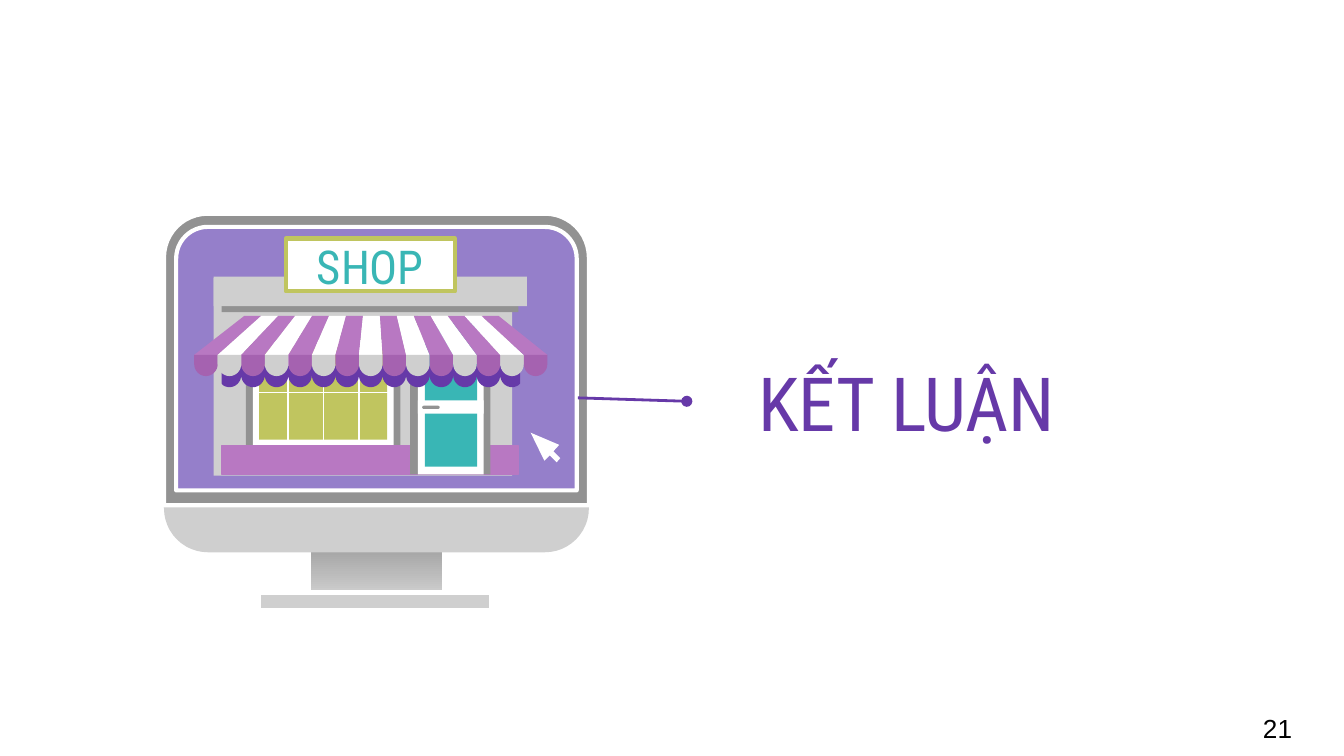
import math

from lxml import etree
from pptx import Presentation
from pptx.dml.color import RGBColor
from pptx.enum import shapes, text
from pptx.oxml import ns
from pptx.util import Cm, Pt

WHITE = RGBColor(0xFF, 0xFF, 0xFF)
BLACK = RGBColor(0x00, 0x00, 0x00)
LIGHT_GREY = RGBColor(0xCF, 0xCF, 0xCF)
GREY = RGBColor(0x92, 0x92, 0x92)
STAND_TOP = RGBColor(0x91, 0x91, 0x91)
STAND_BOTTOM = RGBColor(0xDD, 0xDD, 0xDD)
LAVENDER = RGBColor(0x95, 0x7F, 0xCA)
VIOLET = RGBColor(0x66, 0x39, 0xA8)
ORCHID = RGBColor(0xB8, 0x78, 0xC2)
PLUM = RGBColor(0xA5, 0x62, 0xB0)
OLIVE = RGBColor(0xC0, 0xC5, 0x5F)
TEAL = RGBColor(0x39, 0xB6, 0xB5)

HEADING_FONT = "Roboto Condensed"
RECT = shapes.MSO_SHAPE.RECTANGLE
ROUND = shapes.MSO_SHAPE.ROUNDED_RECTANGLE
ROUND_TOP = shapes.MSO_SHAPE.ROUND_2_SAME_RECTANGLE

STRIPES = 15
AWNING_LEFT, STRIPE_WIDTH = 3.67, 0.445
AWNING_TOP_LEFT, STRIPE_TOP_WIDTH = 4.62, 0.32
AWNING_TOP, AWNING_BOTTOM = 5.97, 6.71


def paint(shape, fill, line=None, width=0.75):
    shape.shadow.inherit = False
    shape.fill.solid()
    shape.fill.fore_color.rgb = fill
    if line is None:
        shape.line.fill.background()
    else:
        shape.line.color.rgb = line
        shape.line.width = Pt(width)


def add_block(slide, box, fill, kind=RECT, corner=None, **outline):
    block = slide.shapes.add_shape(kind, *map(Cm, box))
    if corner is not None:
        block.adjustments[0] = corner
    paint(block, fill, **outline)
    return block


def add_outline(slide, points, fill):
    start, *rest = [(Cm(x), Cm(y)) for x, y in points]
    builder = slide.shapes.build_freeform(*start)
    builder.add_line_segments(rest, close=True)
    paint(builder.convert_to_shape(), fill)


def add_line(slide, start, end, color, width):
    line = slide.shapes.add_connector(
        shapes.MSO_CONNECTOR.STRAIGHT, *map(Cm, start + end))
    line.line.color.rgb = color
    line.line.width = Pt(width)
    etree.SubElement(line._element.spPr, ns.qn("a:effectLst"))
    return line


def add_text(slide, words, box, *, size, color, font=HEADING_FONT,
             align=text.PP_ALIGN.CENTER, anchor=text.MSO_ANCHOR.MIDDLE):
    label = slide.shapes.add_textbox(*map(Cm, box))
    frame = label.text_frame
    frame.word_wrap = True
    frame.vertical_anchor = anchor
    paragraph = frame.paragraphs[0]
    paragraph.alignment = align
    run = paragraph.add_run()
    run.text = words
    run.font.name = font
    run.font.size = Pt(size)
    run.font.color.rgb = color
    return label


def scallop(index, top, depth):
    """Points of one half ellipse hanging under an awning stripe."""
    radius = STRIPE_WIDTH / 2
    center = AWNING_LEFT + (index + 0.5) * STRIPE_WIDTH
    angles = [math.pi * step / 16 for step in range(17)]
    return [(center - radius * math.cos(a), top + depth * math.sin(a))
            for a in angles]


def add_monitor(slide):
    stand = add_block(slide, (5.87, 10.03, 2.49, 1.47), STAND_TOP)
    stand.fill.gradient()
    stand.fill.gradient_angle = 270
    for stop, color in zip(stand.fill.gradient_stops, (STAND_TOP, STAND_BOTTOM)):
        stop.color.rgb = color
    for stop, position in zip(stand.fill.gradient_stops, (0, 1)):
        stop.position = position
    add_block(slide, (4.9, 11.2, 4.39, 0.33), LIGHT_GREY, line=WHITE, width=2.25)
    add_block(slide, (3.1, 4.04, 8.03, 6.4), LIGHT_GREY, ROUND, 0.13)
    add_block(slide, (3.1, 4.04, 8.03, 5.51), GREY, ROUND_TOP, 0.15,
              line=WHITE, width=2.25)
    add_block(slide, (3.33, 4.29, 7.57, 4.98), LAVENDER, ROUND_TOP, 0.12,
              line=WHITE, width=2.25)


def add_window(slide):
    for inset, color in ((0, GREY), (0.13, WHITE), (0.25, OLIVE)):
        add_block(slide, (4.65 + inset, 6.3 + inset,
                          2.92 - 2 * inset, 2.26 - 2 * inset), color)
    add_line(slide, (4.83, 7.42), (7.39, 7.42), WHITE, 0.85)
    for bar in range(3):
        x = 5.44 + 0.67 * bar
        add_line(slide, (x, 6.35), (x, 8.38), WHITE, 0.85)


def add_door(slide):
    add_block(slide, (7.75, 6.02, 1.52, 2.95), GREY)
    add_block(slide, (7.9, 5.97, 1.24, 3), WHITE)
    add_block(slide, (8.03, 6.1, 0.99, 2.72), TEAL)


def add_awning_shadow(slide):
    left, right = 4.19, 9.83
    hem = [(min(max(x, left), right), y)
           for index in range(1, STRIPES - 1)
           for x, y in scallop(index, 7.09, 0.23)]
    add_outline(slide, [(left, 6.91), *hem, (right, 6.91)], VIOLET)


def add_awning(slide):
    for index in range(STRIPES):
        top = AWNING_TOP_LEFT + index * STRIPE_TOP_WIDTH
        bottom = AWNING_LEFT + index * STRIPE_WIDTH
        colored = index % 2 == 0
        add_outline(slide, [(top, AWNING_TOP), (bottom, AWNING_BOTTOM),
                            (bottom + STRIPE_WIDTH, AWNING_BOTTOM),
                            (top + STRIPE_TOP_WIDTH, AWNING_TOP)],
                    ORCHID if colored else WHITE)
        add_outline(slide, [(bottom, AWNING_BOTTOM), *scallop(index, 6.88, 0.23),
                            (bottom + STRIPE_WIDTH, AWNING_BOTTOM)],
                    PLUM if colored else LIGHT_GREY)


def add_shop(slide):
    add_block(slide, (4.04, 5.26, 5.64, 3.73), LIGHT_GREY)
    add_window(slide)
    add_block(slide, (4.19, 8.43, 5.61, 0.53), ORCHID, line=ORCHID)
    add_door(slide)
    add_awning_shadow(slide)
    add_block(slide, (7.9, 7.57, 1.24, 0.25), WHITE)
    add_block(slide, (7.98, 7.67, 0.33, 0.06), GREY, ROUND, 0.5)
    add_block(slide, (4.19, 5.44, 5.61, 0.46), GREY)
    add_block(slide, (4.04, 5.23, 5.92, 0.56), LIGHT_GREY)
    add_block(slide, (5.4, 4.51, 3.2, 1), WHITE, line=OLIVE, width=2.25)
    add_awning(slide)
    add_text(slide, "SHOP", (5.36, 4.52, 3.28, 1), size=25, color=TEAL)


def add_cursor(slide):
    add_outline(slide, [(10.03, 8.18), (10.29, 8.71), (10.39, 8.61),
                        (10.52, 8.74), (10.59, 8.66), (10.46, 8.53),
                        (10.57, 8.41)], WHITE)


def add_conclusion(slide):
    conclusion = add_text(slide, "KẾT LUẬN", (12.98, 6.99, 7.21, 1.19),
                          size=40, color=VIOLET, align=text.PP_ALIGN.RIGHT)
    pointer = add_line(slide, (10.92, 7.52), (12.98, 7.58), VIOLET, 1.5)
    pointer.end_connect(conclusion, 1)
    etree.SubElement(pointer.line._get_or_add_ln(), ns.qn("a:tailEnd"), type="oval")


def main():
    deck = Presentation()
    deck.slide_width, deck.slide_height = Cm(25.4), Cm(14.29)
    slide = deck.slides.add_slide(deck.slide_layouts[6])
    add_monitor(slide)
    add_shop(slide)
    add_cursor(slide)
    add_conclusion(slide)
    add_text(slide, "21", (23.14, 13.34, 2.01, 0.86), size=14, color=BLACK,
             font="Arial", anchor=text.MSO_ANCHOR.TOP)
    deck.save("out.pptx")


if __name__ == "__main__":
    main()
